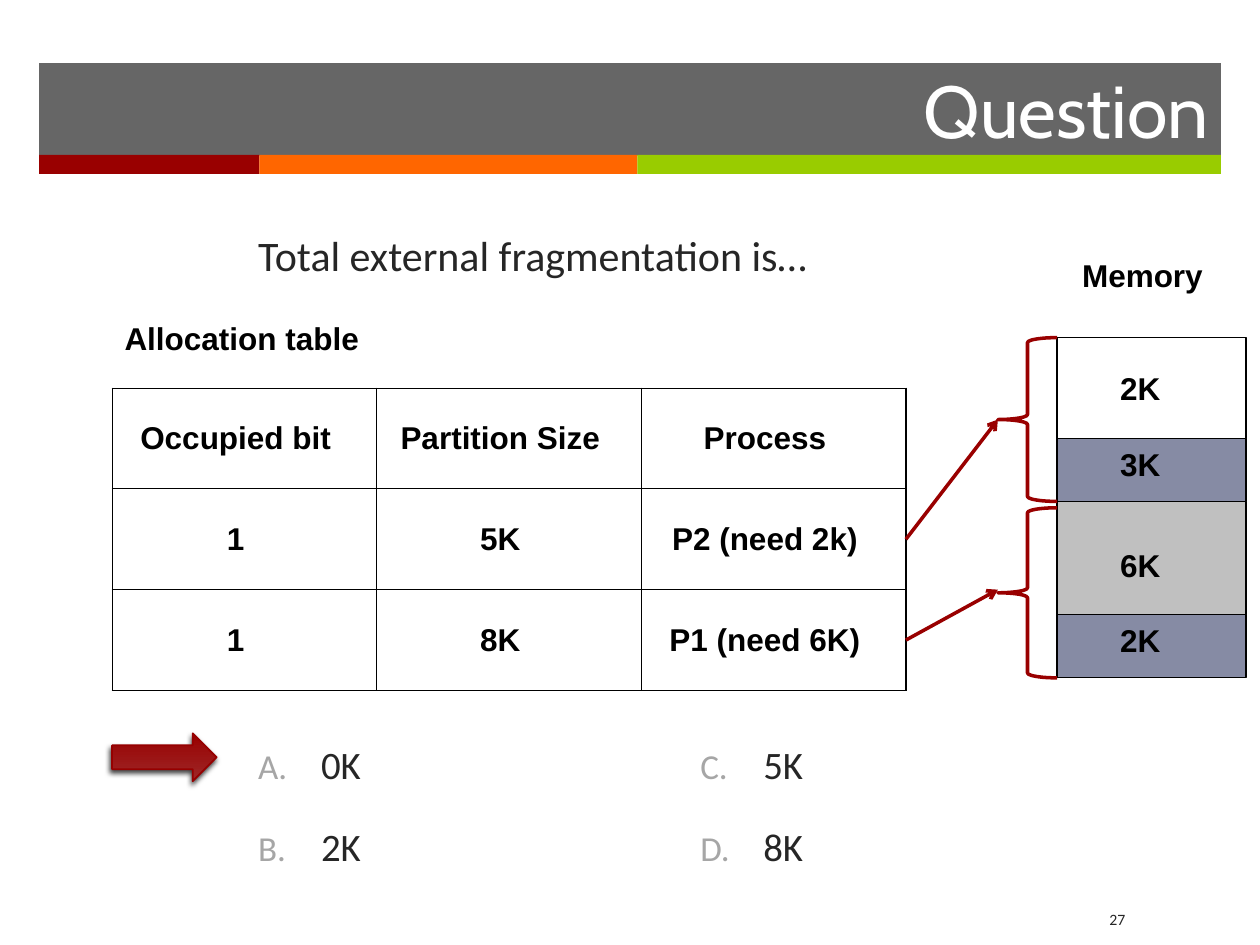
"""Build the quiz slide on external fragmentation in partitioned memory."""
from lxml.etree import SubElement
from pptx import Presentation
from pptx.dml.color import RGBColor
from pptx.enum.shapes import MSO_CONNECTOR, MSO_SHAPE
from pptx.enum.text import MSO_ANCHOR, PP_ALIGN
from pptx.oxml import parse_xml
from pptx.oxml.ns import nsdecls, qn
from pptx.util import Inches, Pt

SLIDE_W, SLIDE_H = Inches(10), Inches(7.5)
COL, ROW = SLIDE_W / 100, SLIDE_H / 75

BLACK = RGBColor(0x00, 0x00, 0x00)
WHITE = RGBColor(0xFF, 0xFF, 0xFF)
INK = RGBColor(0x26, 0x26, 0x26)
NUMBER_GRAY = RGBColor(0xA6, 0xA6, 0xA6)
RED = RGBColor(0x99, 0x00, 0x00)
LIGHT_RED = RGBColor(0x9D, 0x28, 0x28)
DARK_RED = RGBColor(0x96, 0x00, 0x00)
ORANGE = RGBColor(0xFF, 0x66, 0x00)
GREEN = RGBColor(0x99, 0xCC, 0x00)
USED_GRAY = RGBColor(0xC0, 0xC0, 0xC0)
UNUSED_BLUE = RGBColor(0x86, 0x8B, 0xA4)

ALLOCATIONS = [
    ("Occupied bit", "Partition Size", "Process"),
    ("1", "5K", "P2 (need 2k)"),
    ("1", "8K", "P1 (need 6K)"),
]
TABLE_LEFT, TABLE_TOP, CELL_W, CELL_H = 8.9, 30.8, 21, 8
MEMORY_LEFT, MEMORY_TOP, MEMORY_W = 83.9, 26.8, 15
SEGMENTS = [
    ("2K", 8, 2, None),
    ("3K", 5, 0, UNUSED_BLUE),
    ("6K", 9, 3, USED_GRAY),
    ("2K", 5, 0, UNUSED_BLUE),
]
BRACE_LEFT = 79.2


def area(left, top, width, height):
    """Turn grid columns and rows into slide lengths."""
    return int(left * COL), int(top * ROW), int(width * COL), int(height * ROW)


def style(paragraph, font_name, size, color, bold=False, align=PP_ALIGN.LEFT):
    """Set the font and alignment of a paragraph."""
    paragraph.alignment = align
    font = paragraph.font
    font.name, font.size, font.bold = font_name, Pt(size), bold
    font.color.rgb = color


def add_text(slide, box, text, *look, **options):
    """Add one styled line of text."""
    frame = slide.shapes.add_textbox(*area(*box)).text_frame
    frame.word_wrap = True
    frame.text = text
    style(frame.paragraphs[0], *look, **options)


def add_figure(slide, preset, box, fill=None, line=None, width=0.75):
    """Add a preset shape with a flat fill and outline."""
    figure = slide.shapes.add_shape(preset, *area(*box))
    figure.shadow.inherit = False
    if fill is None:
        figure.fill.background()
    else:
        figure.fill.solid()
        figure.fill.fore_color.rgb = fill
    if line is None:
        figure.line.fill.background()
    else:
        figure.line.color.rgb = line
        figure.line.width = Pt(width)
    return figure


def add_banner(slide, title):
    """Add the title bar and its three coloured strips."""
    banner = add_figure(slide, MSO_SHAPE.RECTANGLE, (3.1, 5, 93.8, 7.35), INK)
    color = banner.fill._xPr.find(qn("a:solidFill"))[0]
    SubElement(color, qn("a:alpha")).set("val", "70000")
    frame = banner.text_frame
    frame.text = title
    frame.vertical_anchor = MSO_ANCHOR.MIDDLE
    style(frame.paragraphs[0], "Cabin", 42, WHITE, align=PP_ALIGN.RIGHT)
    left = 3.1
    for width, strip_color in ((17.5, RED), (30, ORANGE), (46.3, GREEN)):
        add_figure(slide, MSO_SHAPE.RECTANGLE, (left, 12.3, width, 1.5), strip_color)
        left += width


def outline_cell(cell):
    """Draw a thin black border on each side of a cell."""
    properties = cell._tc.get_or_add_tcPr()
    for position, side in enumerate(("lnL", "lnR", "lnT", "lnB")):
        properties.insert(position, parse_xml(
            f'<a:{side} {nsdecls("a")} w="9525"><a:solidFill>'
            f'<a:srgbClr val="{BLACK}"/></a:solidFill></a:{side}>'))


def add_allocation_table(slide):
    """Add the table of allocated partitions."""
    rows, columns = len(ALLOCATIONS), len(ALLOCATIONS[0])
    box = area(TABLE_LEFT, TABLE_TOP, columns * CELL_W, rows * CELL_H)
    table = slide.shapes.add_table(rows, columns, *box).table
    table.first_row = table.horz_banding = False
    for row, values in enumerate(ALLOCATIONS):
        for column, value in enumerate(values):
            cell = table.cell(row, column)
            cell.text = value
            cell.fill.background()
            cell.vertical_anchor = MSO_ANCHOR.MIDDLE
            cell.margin_left, cell.margin_right = 0, Inches(0.14)
            style(cell.text_frame.paragraphs[0], "Arial", 18, BLACK, True, PP_ALIGN.CENTER)
            outline_cell(cell)


def add_memory(slide):
    """Stack the memory segments from top to bottom."""
    top = MEMORY_TOP
    for label, height, gap, fill in SEGMENTS:
        segment = add_figure(slide, MSO_SHAPE.RECTANGLE,
                             (MEMORY_LEFT, top, MEMORY_W, height), fill, BLACK)
        frame = segment.text_frame
        frame.text = label
        frame.vertical_anchor = MSO_ANCHOR.TOP
        frame.margin_left = int(5 * COL)
        frame.margin_top = int((gap + 0.5) * ROW)
        style(frame.paragraphs[0], "Arial", 18, BLACK, True)
        top += height


def add_partition_link(slide, row, brace_top, brace_height, target):
    """Brace a partition and point to it from its table row."""
    add_figure(slide, MSO_SHAPE.LEFT_BRACE,
               (BRACE_LEFT, brace_top, MEMORY_LEFT - BRACE_LEFT, brace_height), line=RED, width=2)
    start = TABLE_LEFT + 3 * CELL_W, TABLE_TOP + (row + 0.5) * CELL_H
    link = slide.shapes.add_connector(
        MSO_CONNECTOR.STRAIGHT, *area(*start, BRACE_LEFT, target))
    link.line.color.rgb = RED
    link.line.width = Pt(2)
    properties = link._element.spPr
    SubElement(properties.find(qn("a:ln")), qn("a:tailEnd")).set("type", "arrow")
    SubElement(properties, qn("a:effectLst"))


def add_answers(slide, left, answers, first_number):
    """Add a column of lettered answers."""
    frame = slide.shapes.add_textbox(*area(left, 58.3, 35, 13.5)).text_frame
    frame.word_wrap = True
    frame.text = "\n".join(answers)
    for index, paragraph in enumerate(frame.paragraphs):
        properties = paragraph._p.get_or_add_pPr()
        properties.set("marL", str(Inches(0.5)))
        properties.set("indent", str(-Inches(0.5)))
        number_color = SubElement(properties, qn("a:buClr"))
        SubElement(number_color, qn("a:srgbClr")).set("val", str(NUMBER_GRAY))
        SubElement(properties, qn("a:buSzPct")).set("val", "90000")
        number = SubElement(properties, qn("a:buAutoNum"))
        number.set("type", "alphaUcPeriod")
        number.set("startAt", str(first_number))
        if index:
            paragraph.space_before = Pt(20)
        style(paragraph, "Calibri", 22.2, INK)


def add_answer_marker(slide):
    """Add the shaded arrow beside the right answer."""
    marker = add_figure(slide, MSO_SHAPE.RIGHT_ARROW, (8.9, 58.2, 8.3, 3.8), RED, DARK_RED, 1)
    marker.fill.gradient()
    marker.fill.gradient_angle = 90
    for stop, color in zip(marker.fill.gradient_stops, (LIGHT_RED, RED)):
        stop.color.rgb = color
    marker._element.spPr.find(qn("a:effectLst")).append(parse_xml(
        f'<a:outerShdw {nsdecls("a")} blurRad="{Pt(3)}" dist="{Pt(2)}" dir="6600000">'
        f'<a:srgbClr val="{BLACK}"><a:alpha val="75000"/></a:srgbClr></a:outerShdw>'))


def main():
    """Compose the slide and save it."""
    presentation = Presentation()
    presentation.slide_width, presentation.slide_height = SLIDE_W, SLIDE_H
    slide = presentation.slides.add_slide(presentation.slide_layouts[6])
    add_banner(slide, "Question")
    add_text(slide, (19.5, 17.7, 60, 6), "Total external fragmentation is…", "Calibri", 24, INK)
    add_text(slide, (8.9, 24.8, 23.4, 4), "Allocation table", "Arial", 18, BLACK, True)
    add_allocation_table(slide)
    add_text(slide, (84.9, 19.8, 14, 4), "Memory", "Arial", 18, BLACK, True)
    add_memory(slide)
    add_partition_link(slide, 1, 26.8, 13, 33.3)
    add_partition_link(slide, 2, 40.3, 13.5, 46.8)
    add_answers(slide, 19.5, ("0K", "2K"), 1)
    add_answers(slide, 54.6, ("5K", "8K"), 3)
    add_answer_marker(slide)
    add_text(slide, (84.5, 71.7, 5.8, 3.3), "27", "Calibri", 9, INK, align=PP_ALIGN.RIGHT)
    presentation.save("out.pptx")


if __name__ == "__main__":
    main()
